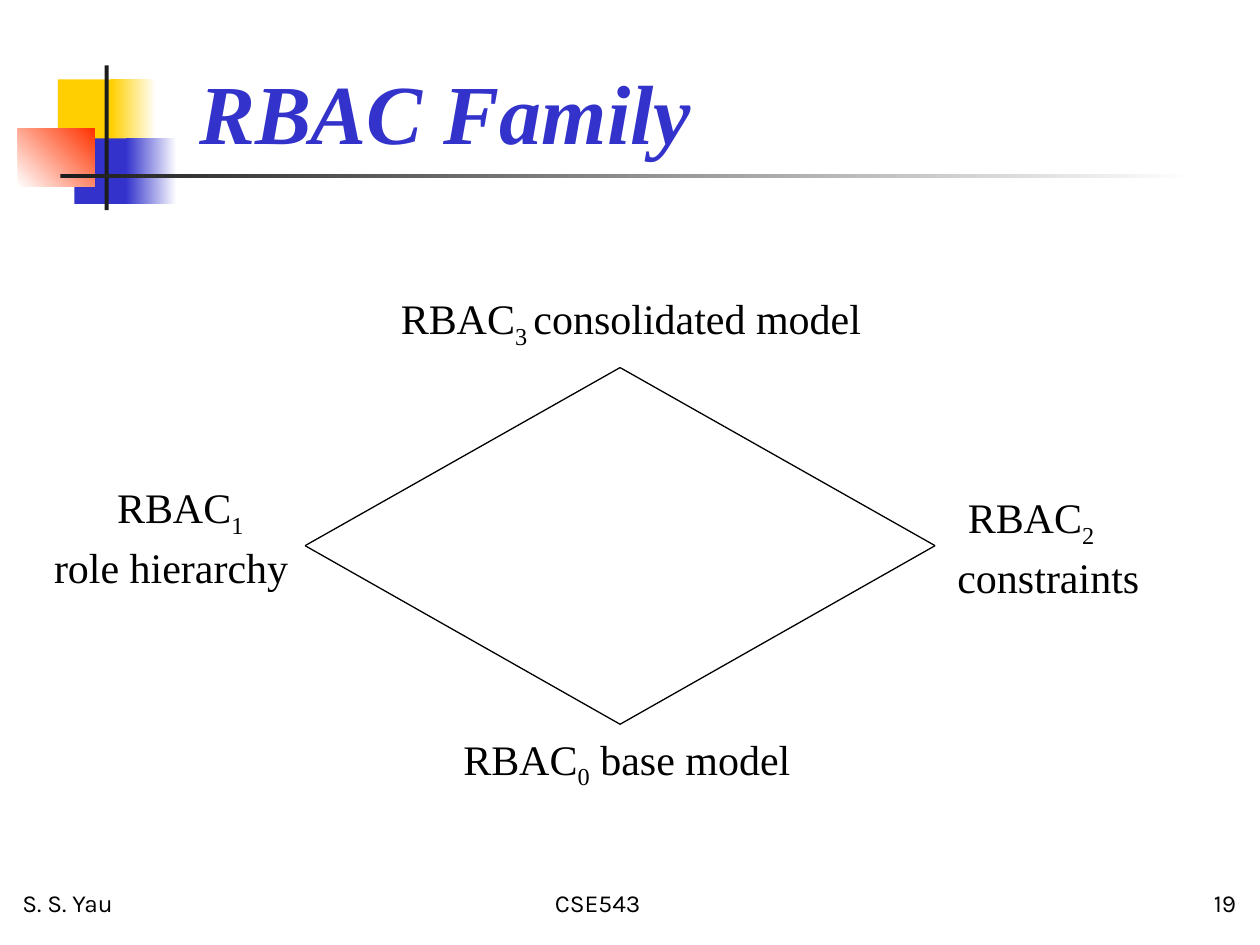
from lxml import etree
from pptx import Presentation
from pptx.dml.color import RGBColor
from pptx.enum.shapes import MSO_CONNECTOR, MSO_SHAPE
from pptx.enum.text import MSO_ANCHOR, MSO_AUTO_SIZE, PP_ALIGN
from pptx.oxml.ns import qn
from pptx.util import Cm, Pt

LEFT, CENTER, RIGHT = PP_ALIGN.LEFT, PP_ALIGN.CENTER, PP_ALIGN.RIGHT
TOP, BOTTOM = MSO_ANCHOR.TOP, MSO_ANCHOR.BOTTOM
RECTANGLE, STRAIGHT = MSO_SHAPE.RECTANGLE, MSO_CONNECTOR.STRAIGHT
NO_AUTOFIT, FIT_SHAPE = MSO_AUTO_SIZE.NONE, MSO_AUTO_SIZE.SHAPE_TO_FIT_TEXT
TITLE_ONLY = 5

# Content: all lengths in centimetres
TITLE = "RBAC Family"
TITLE_BOX = (3.76, 0, 21.64, 3.38)

# Ornament: box, colours (one is solid, two fade), gradient angle
ORNAMENT = [
    ((1.17, 1.6, 1.22, 1.32), ["FFCF01"], 0),
    ((2.24, 1.6, 0.91, 1.32), ["FFCF01", "FFFFFF"], 0),
    ((1.5, 2.79, 1.17, 1.32), ["3333CC"], 0),
    ((2.54, 2.79, 1.02, 1.32), ["3333CC", "FFFFFF"], 0),
    ((0.36, 2.59, 1.55, 1.17), ["FFFFFF", "FF3300"], 45),
    ((2.11, 1.32, 0.08, 2.92), ["1C1C1C"], 0),
    ((1.22, 3.51, 22.86, 0.08), ["1C1C1C", "FFFFFF"], 0),
]

# Diamond corners in drawing order
DIAMOND = [(12.5, 7.41), (18.85, 11), (12.5, 14.6), (6.15, 11)]

# Model labels: box, subscript, rest of first line, second line, indent
MODELS = [
    ((7.83, 5.72, 9.83, 1.27), "3 ", "consolidated model", None, 0),
    ((0.84, 9.53, 5.23, 2.29), "1", None, "role hierarchy", 1.27),
    ((19.05, 9.73, 4.17, 2.29), "2", None, "constraints", 0.21),
    ((9.09, 14.6, 7.14, 1.27), "0", " base model", None, 0),
]

FOOTER = [
    ((0.2, 17.35, 5.92, 1.27), "S. S. Yau", LEFT),
    ((9.09, 17.35, 5.92, 1.27), "CSE543", CENTER),
    ((17.12, 17.35, 8.05, 1.27), "19", RIGHT),
]

TITLE_FONT = dict(name="Times New Roman", size=Pt(48), bold=True, italic=True)
MODEL_FONT = dict(name="Times New Roman", size=Pt(24))
FOOTER_FONT = dict(name="Karla", size=Pt(14))


def rgb(value):
    return RGBColor.from_string(value)


def cm(lengths):
    return [Cm(length) for length in lengths]


def add_run(paragraph, text, font, colour="000000", baseline=None):
    run = paragraph.add_run()
    run.text = text
    for key, value in font.items():
        setattr(run.font, key, value)
    run.font.color.rgb = rgb(colour)
    if baseline:
        run.font._element.set("baseline", str(baseline))


def add_text_frame(box, wrap, anchor, fit):
    frame = slide.shapes.add_textbox(*cm(box)).text_frame
    frame.word_wrap = wrap
    frame.vertical_anchor = anchor
    frame.auto_size = fit
    return frame


prs = Presentation()
prs.slide_width, prs.slide_height = Cm(25.4), Cm(19.05)
slide = prs.slides.add_slide(prs.slide_layouts[TITLE_ONLY])

# Ornament beside the title
for box, colours, angle in ORNAMENT:
    block = slide.shapes.add_shape(RECTANGLE, *cm(box))
    block.shadow.inherit = False
    block.line.fill.background()
    if len(colours) == 1:
        block.fill.solid()
        block.fill.fore_color.rgb = rgb(colours[0])
    else:
        block.fill.gradient()
        block.fill.gradient_angle = angle
        for stop, colour in zip(block.fill.gradient_stops, colours):
            stop.color.rgb = rgb(colour)

# Title, in front of the ornament
title = slide.shapes.title
title.left, title.top, title.width, title.height = cm(TITLE_BOX)
title.text_frame.vertical_anchor = BOTTOM
title.text_frame.auto_size = NO_AUTOFIT
heading = title.text_frame.paragraphs[0]
heading.alignment = LEFT
add_run(heading, TITLE, TITLE_FONT, "3333CC")
slide.shapes._spTree.append(title._element)

# Diamond edges
for start, end in zip(DIAMOND, DIAMOND[1:] + DIAMOND[:1]):
    edge = slide.shapes.add_connector(STRAIGHT, *cm(start + end))
    edge.line.color.rgb = rgb("000000")
    edge.line.width = Pt(0.75)
    etree.SubElement(edge._element.spPr, qn("a:effectLst"))

# Model labels at the corners
for box, subscript, rest, second_line, indent in MODELS:
    frame = add_text_frame(box, False, TOP, FIT_SHAPE)
    name = frame.paragraphs[0]
    name.line_spacing = 1.05
    if indent:
        name._p.get_or_add_pPr().set("marL", str(Cm(indent)))
    add_run(name, "RBAC", MODEL_FONT)
    add_run(name, subscript, MODEL_FONT, baseline=-25000)
    if rest:
        add_run(name, rest, MODEL_FONT)
    if second_line:
        role = frame.add_paragraph()
        role.line_spacing = 1.05
        add_run(role, second_line, MODEL_FONT)

# Footer
for box, text, alignment in FOOTER:
    note = add_text_frame(box, True, BOTTOM, NO_AUTOFIT).paragraphs[0]
    note.alignment = alignment
    add_run(note, text, FOOTER_FONT)

prs.save("out.pptx")
